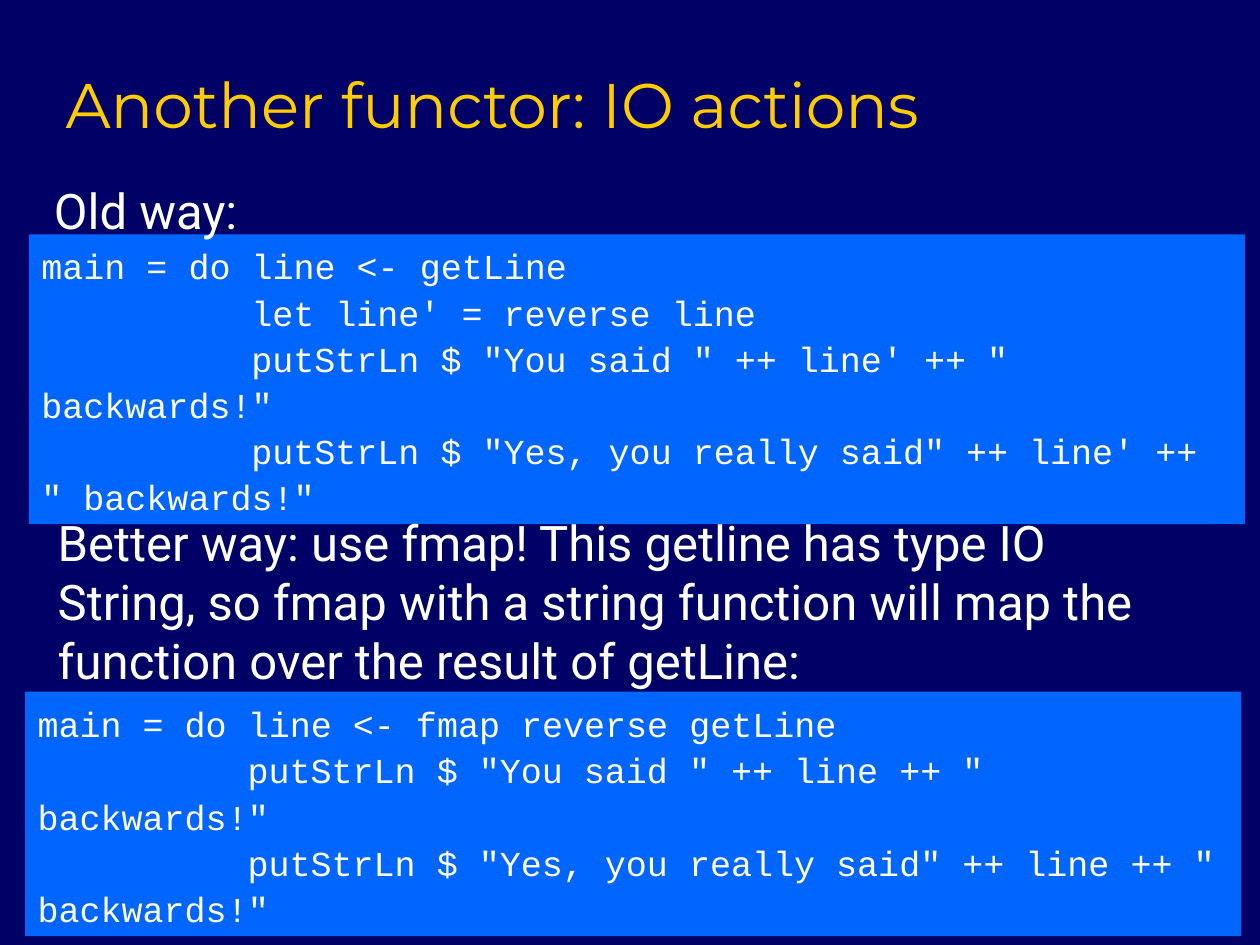
import pptx
import pptx.util
import pptx.dml.color
import pptx.enum.shapes
import pptx.enum.text

Inches = pptx.util.Inches
Pt = pptx.util.Pt
RGBColor = pptx.dml.color.RGBColor
ANCHOR = pptx.enum.text.MSO_ANCHOR

NAVY = RGBColor(0x00, 0x00, 0x66)
BLUE = RGBColor(0x00, 0x66, 0xFF)
GOLD = RGBColor(0xFF, 0xCC, 0x00)
WHITE = RGBColor(0xFF, 0xFF, 0xFF)

TITLE_FONT = {"name": "Montserrat", "size": Pt(36)}
PROSE_FONT = {"name": "Roboto", "size": Pt(28)}
CODE_FONT = {"name": "Courier New", "size": Pt(20)}
FRAME = {
    "word_wrap": True,
    "auto_size": pptx.enum.text.MSO_AUTO_SIZE.NONE,
    "margin_left": Inches(0.1),
    "margin_right": Inches(0.1),
    "margin_top": Inches(0.05),
    "margin_bottom": Inches(0.05),
}
DO_INDENT = Pt(120)

OLD_CODE = [
    "main = do line <- getLine",
    "let line' = reverse line",
    "putStrLn $ \"You said \" ++ line' ++ \" backwards!\"",
    "putStrLn $ \"Yes, you really said\" ++ line' ++ \" backwards!\"",
]
BETTER_CODE = [
    "main = do line <- fmap reverse getLine",
    "putStrLn $ \"You said \" ++ line ++ \" backwards!\"",
    "putStrLn $ \"Yes, you really said\" ++ line ++ \" backwards!\"",
]
BETTER_WAY = (
    "Better way: use fmap! This getline has type IO String, so fmap with a "
    "string function will map the function over the result of getLine:"
)


def apply_format(target, values):
    """Set each named attribute of the target."""
    for attribute, value in values.items():
        setattr(target, attribute, value)


def write_lines(frame, lines, font, color, anchor=ANCHOR.MIDDLE):
    """Fill a text frame with left-aligned lines and return its paragraphs."""
    apply_format(frame, FRAME)
    frame.vertical_anchor = anchor
    frame.text = "\n".join(lines)
    for paragraph in frame.paragraphs:
        paragraph.alignment = pptx.enum.text.PP_ALIGN.LEFT
        apply_format(paragraph.runs[0].font, font)
        paragraph.runs[0].font.color.rgb = color
    return frame.paragraphs


def place_title(slide, box, text):
    """Move and format the title placeholder."""
    title = slide.shapes.title
    apply_format(title, dict(zip(("left", "top", "width", "height"), map(Inches, box))))
    write_lines(title.text_frame, [text], TITLE_FONT, GOLD, ANCHOR.BOTTOM)


def add_code(slide, box, lines):
    """Add a code panel whose lines after the first align under the do block."""
    panel = slide.shapes.add_shape(
        pptx.enum.shapes.MSO_SHAPE.RECTANGLE, *map(Inches, box))
    panel.shadow.inherit = False
    panel.fill.solid()
    panel.fill.fore_color.rgb = BLUE
    panel.line.fill.background()
    for number, paragraph in enumerate(write_lines(panel.text_frame, lines, CODE_FONT, WHITE)):
        paragraph.line_spacing = 1.1
        if number:
            paragraph._p.get_or_add_pPr().set("indent", str(int(DO_INDENT)))


def add_prose(slide, box, text):
    """Add a sentence that introduces a code panel."""
    prose = slide.shapes.add_textbox(*map(Inches, box))
    write_lines(prose.text_frame, [text], PROSE_FONT, WHITE)


def main():
    """Build and save the slide."""
    deck = pptx.Presentation()
    apply_format(deck, {"slide_width": Inches(10), "slide_height": Inches(7.5)})
    slide = deck.slides.add_slide(deck.slide_layouts.get_by_name("Title Only"))
    slide.background.fill.solid()
    slide.background.fill.fore_color.rgb = NAVY

    place_title(slide, (0.42, 0.42, 8.5, 0.75), "Another functor: IO actions")
    add_code(slide, (0.23, 1.86, 9.65, 2.3), OLD_CODE)
    add_code(slide, (0.2, 5.49, 9.65, 1.94), BETTER_CODE)
    add_prose(slide, (0.33, 1.38, 9.18, 0.57), "Old way:")
    add_prose(slide, (0.36, 4.02, 9.18, 1.5), BETTER_WAY)
    deck.save("out.pptx")


if __name__ == "__main__":
    main()
